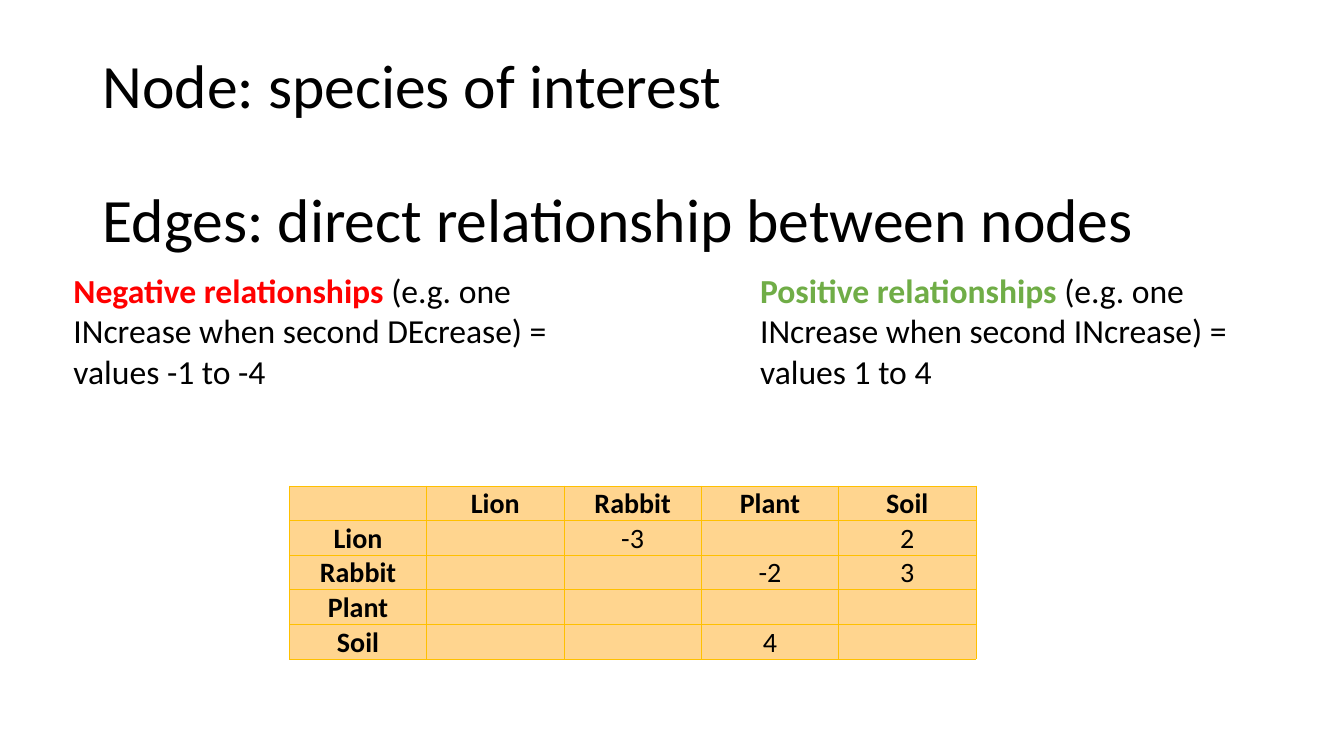
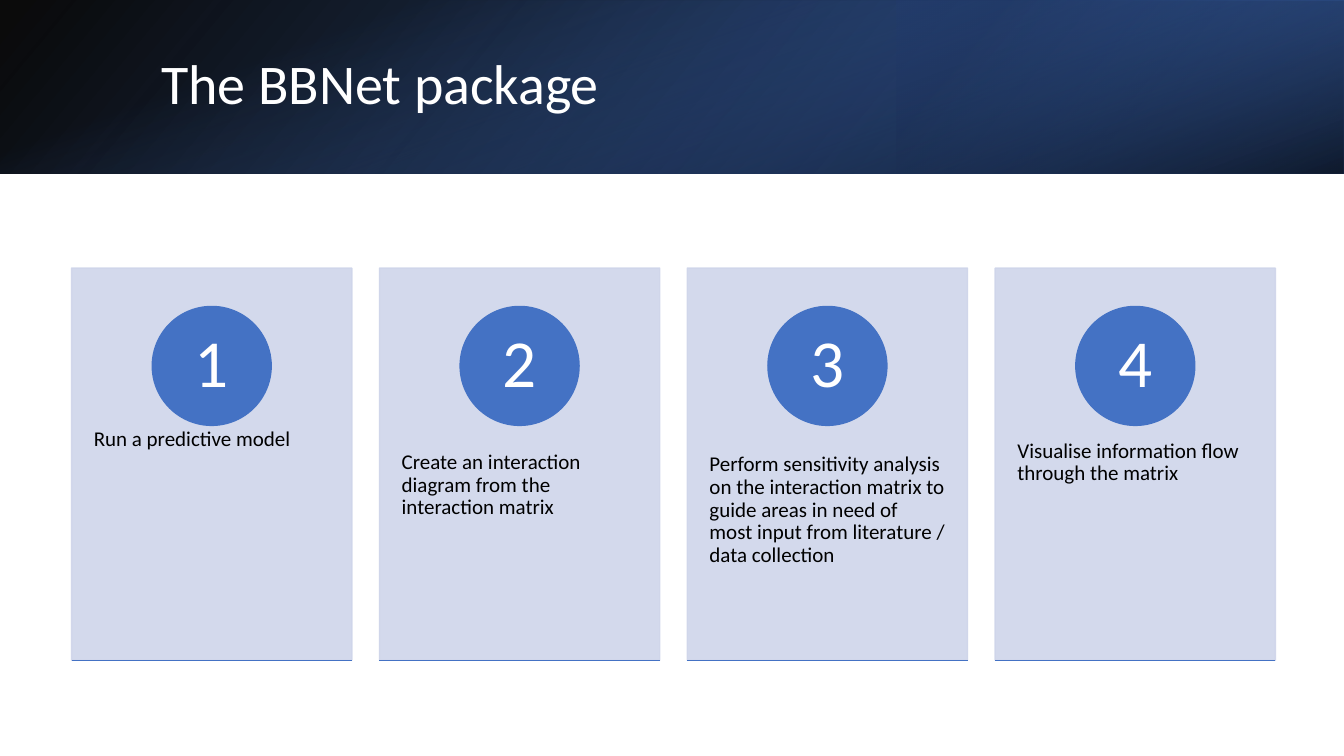
"""Build two slides on interaction matrices and the BBNet package."""
import dataclasses

import lxml.etree
import pptx
import pptx.dml.color
import pptx.enum.shapes
import pptx.enum.text
import pptx.oxml
import pptx.oxml.ns
import pptx.util

Inches = pptx.util.Inches
Pt = pptx.util.Pt
Shapes = pptx.enum.shapes.MSO_SHAPE
Anchor = pptx.enum.text.MSO_ANCHOR
Align = pptx.enum.text.PP_ALIGN
qualified = pptx.oxml.ns.qn


@dataclasses.dataclass(frozen=True)
class Theme:
    """Colours and type sizes shared by the slides."""

    font: str = "Calibri"
    ink: str = "000000"
    paper: str = "FFFFFF"
    accent: str = "4472C4"
    navy: str = "2F5597"
    deep_navy: str = "203864"
    card: str = "CFD5EA"
    negative: str = "FF0000"
    positive: str = "70AD47"
    table_fill: str = "FFD58F"
    table_border: str = "FFC000"
    topic_size: int = 44
    title_size: int = 40
    number_size: int = 48
    relation_size: int = 24
    table_size: int = 20
    card_size: int = 15
    title_spacing: float = 0.9
    card_opacity: int = 90


THEME = Theme()
MATRIX = [
    ["", "Lion", "Rabbit", "Plant", "Soil"],
    ["Lion", "", "-3", "", "2"],
    ["Rabbit", "", "", "-2", "3"],
    ["Plant", "", "", "", ""],
    ["Soil", "", "", "4", ""],
]
STEPS = [
    "Run a predictive model",
    "Create an interaction diagram from the interaction matrix",
    "Perform sensitivity analysis on the interaction matrix to guide areas in need "
    "of most input from literature / data collection",
    "Visualise information flow through the matrix",
]
BANDS = [
    ((0, 0, 13.33, 1.72), 0, True, 140,
     [(0, THEME.ink, 96), (100, THEME.navy, 100)]),
    ((8.89, 0, 4.44, 1.72), 180, True, 320,
     [(19, THEME.deep_navy, 68), (100, THEME.accent, 79)]),
    ((5.8, -5.8, 1.72, 13.33), 90, False, 340,
     [(23, THEME.accent, 0), (99, THEME.ink, 74)]),
]


def rgb(value):
    """Turn a hexadecimal string into a colour."""
    return pptx.dml.color.RGBColor.from_string(value)


def box(bounds):
    """Turn left, top, width and height into lengths."""
    return [Inches(value) for value in bounds]


def apply_format(target, values):
    """Set each named value on the target."""
    for name, value in values.items():
        setattr(target, name, value)


def margins(left, top, right, bottom):
    """Return the inset values of a frame or cell."""
    return {
        "margin_left": Inches(left),
        "margin_top": Inches(top),
        "margin_right": Inches(right),
        "margin_bottom": Inches(bottom),
    }


def add_run(paragraph, text, size, color, bold=False):
    """Append formatted text to a paragraph."""
    run = paragraph.add_run()
    run.text = text
    apply_format(run.font, {"name": THEME.font, "size": Pt(size), "bold": bold})
    run.font.color.rgb = rgb(color)


def add_text(slide, bounds, runs, frame_format=None, paragraph_format=None):
    """Add a wrapping text box with one paragraph."""
    frame = slide.shapes.add_textbox(*box(bounds)).text_frame
    apply_format(frame, {"word_wrap": True, **(frame_format or {})})
    paragraph = frame.paragraphs[0]
    apply_format(paragraph, paragraph_format or {})
    for run in runs:
        add_run(paragraph, *run)
    return frame


def add_title(slide, bounds, text, size, color):
    """Add a title centred vertically in its box."""
    return add_text(slide, bounds, [(text, size, color)],
                    {"vertical_anchor": Anchor.MIDDLE},
                    {"line_spacing": THEME.title_spacing})


def set_opacity(fill, percent):
    """Give a solid fill an opacity."""
    color = fill._xPr.find(".//" + qualified("a:srgbClr"))
    lxml.etree.SubElement(color, qualified("a:alpha"), val=str(percent * 1000))


def add_solid(slide, kind, bounds, color, opacity=100):
    """Add a preset shape whose fill and line share a colour."""
    shape = slide.shapes.add_shape(kind, *box(bounds))
    shape.shadow.inherit = False
    shape.line.width = Pt(1)
    for fill in (shape.fill, shape.line.fill):
        fill.solid()
        fill.fore_color.rgb = rgb(color)
        if opacity < 100:
            set_opacity(fill, opacity)
    return shape


def add_rule(slide, left, top, width, color):
    """Add a thin horizontal line."""
    ends = box((left, top, left + width, top))
    kind = pptx.enum.shapes.MSO_CONNECTOR.STRAIGHT
    rule = slide.shapes.add_connector(kind, *ends)
    rule.line.color.rgb = rgb(color)
    rule.line.width = Pt(1)
    lxml.etree.SubElement(rule._element.spPr, qualified("a:effectLst"))


def add_band(slide, bounds, rotation, flipped, angle, stops):
    """Add a rectangle with a translucent linear gradient."""
    shape = slide.shapes.add_shape(Shapes.RECTANGLE, *box(bounds))
    shape.shadow.inherit = False
    shape.rotation = rotation
    shape.line.fill.background()
    properties = shape._element.spPr
    if flipped:
        properties.find(qualified("a:xfrm")).set("flipH", "1")
    stop_xml = "".join(
        f'<a:gs pos="{position * 1000}"><a:srgbClr val="{color}">'
        f'<a:alpha val="{opacity * 1000}"/></a:srgbClr></a:gs>'
        for position, color, opacity in stops
    )
    gradient = pptx.oxml.parse_xml(
        f'<a:gradFill {pptx.oxml.ns.nsdecls("a")} rotWithShape="1">'
        f'<a:gsLst>{stop_xml}</a:gsLst>'
        f'<a:lin ang="{angle * 60000}" scaled="0"/></a:gradFill>'
    )
    properties.find(qualified("a:prstGeom")).addnext(gradient)


def set_borders(cell, color, width):
    """Draw the four borders of a table cell."""
    properties = cell._tc.get_or_add_tcPr()
    for index, side in enumerate("LRTB"):
        properties.insert(index, pptx.oxml.parse_xml(
            f'<a:ln{side} {pptx.oxml.ns.nsdecls("a")} w="{Pt(width)}">'
            f'<a:solidFill><a:srgbClr val="{color}"/></a:solidFill></a:ln{side}>'
        ))


def add_matrix(slide, bounds, rows):
    """Add a table with bold row and column headings."""
    left, top, width, height = box(bounds)
    table = slide.shapes.add_table(
        len(rows), len(rows[0]), left, top, width, height).table
    for row_index, row in enumerate(rows):
        for column_index, text in enumerate(row):
            cell = table.cell(row_index, column_index)
            apply_format(cell, {"vertical_anchor": Anchor.BOTTOM,
                                **margins(0.01, 0.01, 0.01, 0)})
            cell.fill.solid()
            cell.fill.fore_color.rgb = rgb(THEME.table_fill)
            set_borders(cell, THEME.table_border, 0.5)
            if text:
                paragraph = cell.text_frame.paragraphs[0]
                paragraph.alignment = Align.CENTER
                heading = row_index == 0 or column_index == 0
                add_run(paragraph, text, THEME.table_size, THEME.ink, heading)


def add_step(slide, left, number, text):
    """Add a numbered card with its caption."""
    width, top, bottom, diameter = 2.78, 2.66, 6.55, 1.18
    add_solid(slide, Shapes.RECTANGLE, (left, top, width, bottom - top),
              THEME.card, THEME.card_opacity)
    add_text(slide, (left, 4.14, width, 2.33),
             [(text, THEME.card_size, THEME.ink)],
             margins(0.22, 0.36, 0.22, 0.36), {"line_spacing": 0.9})
    circle = add_solid(
        slide, Shapes.OVAL,
        (left + (width - diameter) / 2, 3.04, diameter, diameter), THEME.accent)
    apply_format(circle.text_frame, {"vertical_anchor": Anchor.MIDDLE,
                                     **margins(0, 0, 0, 0)})
    paragraph = circle.text_frame.paragraphs[0]
    apply_format(paragraph, {"alignment": Align.CENTER, "line_spacing": 0.9})
    add_run(paragraph, str(number), THEME.number_size, THEME.paper)
    add_rule(slide, left, bottom, width, THEME.accent)


def build_matrix_slide(slide):
    """Explain nodes and edges with an example matrix."""
    frame = add_title(slide, (0.92, 0.4, 11.5, 2.28), "Node: species of interest",
                      THEME.topic_size, THEME.ink)
    edges = frame.add_paragraph()
    apply_format(edges, {"line_spacing": THEME.title_spacing,
                         "space_before": Pt(48)})
    add_run(edges, "Edges: direct relationship between nodes",
            THEME.topic_size, THEME.ink)
    relations = [
        (0.63, "Negative", THEME.negative, "DEcrease", "-1 to -4"),
        (7.44, "Positive", THEME.positive, "INcrease", "1 to 4"),
    ]
    for left, sign, color, change, values in relations:
        detail = f"(e.g. one INcrease when second {change}) = values {values}"
        add_text(slide, (left, 2.63, 4.98, 1.31), [
            (f"{sign} relationships ", THEME.relation_size, color, True),
            (detail, THEME.relation_size, THEME.ink),
        ])
    add_matrix(slide, (2.87, 4.82, 6.81, 1.7), MATRIX)


def build_package_slide(slide):
    """Show what the package does in four cards."""
    for band in BANDS:
        add_band(slide, *band)
    add_title(slide, (1.5, 0.38, 10.98, 0.96), "The BBNet package",
              THEME.title_size, THEME.paper)
    first, last = 0.71, 9.87
    pitch = (last - first) / (len(STEPS) - 1)
    for index, text in enumerate(STEPS):
        add_step(slide, first + index * pitch, index + 1, text)


def main():
    """Build and save the presentation."""
    presentation = pptx.Presentation()
    apply_format(presentation, {"slide_width": Inches(13.33),
                                "slide_height": Inches(7.5)})
    blank = presentation.slide_layouts[6]
    for build in (build_matrix_slide, build_package_slide):
        build(presentation.slides.add_slide(blank))
    presentation.save("out.pptx")


if __name__ == "__main__":
    main()
